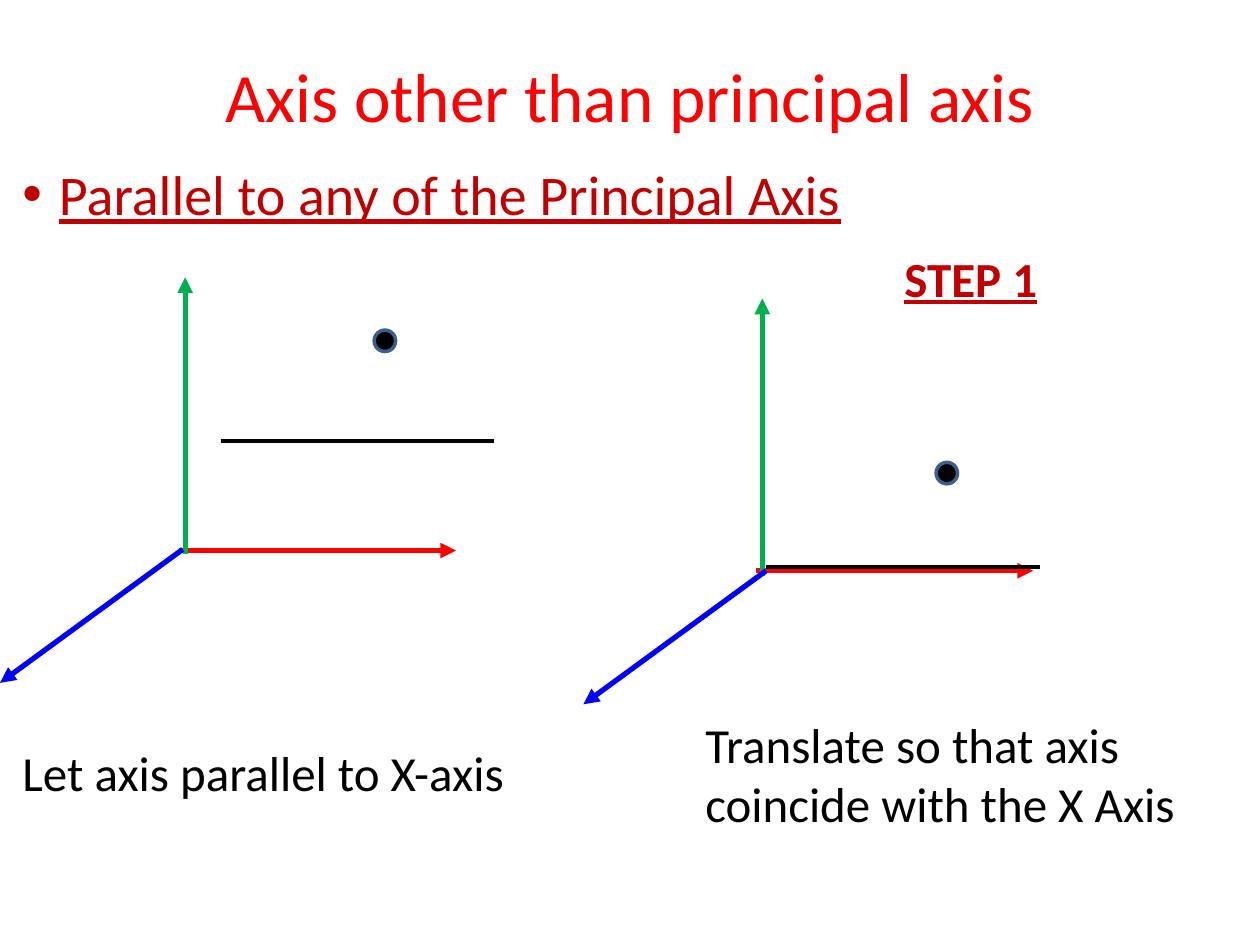
from pptx import Presentation
from pptx.dml.color import RGBColor
from pptx.enum.shapes import MSO_CONNECTOR, MSO_SHAPE
from pptx.enum.text import MSO_ANCHOR, PP_ALIGN
from pptx.oxml.ns import qn
from pptx.util import Inches, Pt
from lxml import etree

LINE, OVAL = MSO_CONNECTOR.STRAIGHT, MSO_SHAPE.OVAL
TOP, LEFT, CENTER = MSO_ANCHOR.TOP, PP_ALIGN.LEFT, PP_ALIGN.CENTER
RED = RGBColor(0xFF, 0, 0)
GREEN = RGBColor(0, 0xB0, 0x50)
BLUE = RGBColor(0, 0, 0xFF)
BLACK = RGBColor(0, 0, 0)
DARK = RGBColor(0xC0, 0, 0)
RIM = RGBColor(0x3A, 0x5F, 0x8C)

# Content: text, box, size, colour, options
TEXTS = [
    ("Axis other than principal axis", (0.5, 0.42, 9, 1.25), 39.6, RED,
     {"align": CENTER, "top": 0}),
    ("Parallel to any of the Principal Axis", (0.08, 1.22, 7, 0.94), 32, DARK,
     {"line": True, "bullet": True}),
    ("Let axis parallel to X-axis", (0.08, 5.84, 4.17, 0.57), 28, BLACK, {}),
    ("Translate so that axis coincide with the X Axis",
     (5.5, 5.62, 4, 1.04), 28, BLACK, {}),
    ("STEP 1", (7.08, 1.92, 1.92, 0.57), 28, DARK,
     {"bold": True, "line": True}),
]

# Each diagram: starts of the x, y and z axes, dot corner, start of the turn axis
PANELS = [
    {"x": (1.42, 4.37), "y": (1.47, 4.4), "z": (1.45, 4.36),
     "dot": (2.97, 2.62), "turn": (1.75, 3.5)},
    {"x": (6, 4.53), "y": (6.05, 4.57), "z": (6.08, 4.53),
     "dot": (7.43, 3.67), "turn": (6.08, 4.5)},
]
# Direction, colour, width, arrowhead; listed from back to front
RAYS = {
    "x": ((2.2, 0), RED, 3, True),
    "y": ((0, -2.2), GREEN, 3, True),
    "turn": ((2.17, 0), BLACK, 2.25, False),
    "z": ((-1.45, 1.06), BLUE, 3, True),
}
DOT = 0.17
INDENT = Inches(0.29)

deck = Presentation()
deck.slide_width, deck.slide_height = Inches(10), Inches(7.5)
slide = deck.slides.add_slide(deck.slide_layouts[6])
shapes = slide.shapes


def add_text(words, box, size, color, opts):
    frame = shapes.add_textbox(*map(Inches, box)).text_frame
    frame.word_wrap = True
    frame.vertical_anchor = TOP
    frame.margin_top = Inches(opts.get("top", 0.05))
    para = frame.paragraphs[0]
    para.alignment = opts.get("align", LEFT)
    if opts.get("bullet"):
        props = para._p.get_or_add_pPr()
        props.set("marL", str(INDENT))
        props.set("indent", str(-INDENT))
        etree.SubElement(props, qn("a:buFont")).set("typeface", "Arial")
        etree.SubElement(props, qn("a:buChar")).set("char", "•")
    run = para.add_run()
    run.text = words
    font = run.font
    font.name, font.size = "Calibri", Pt(size)
    font.color.rgb = color
    font.bold = opts.get("bold", False)
    font.underline = opts.get("line", False)


def add_ray(start, move, color, width, arrow):
    end = [a + b for a, b in zip(start, move)]
    ray = shapes.add_connector(LINE, *map(Inches, (*start, *end)))
    ray.line.color.rgb = color
    ray.line.width = Pt(width)
    if arrow:
        stroke = ray.line._get_or_add_ln()
        etree.SubElement(stroke, qn("a:tailEnd")).set("type", "triangle")
    etree.SubElement(ray._element.spPr, qn("a:effectLst"))


def add_dot(spot):
    dot = shapes.add_shape(OVAL, *map(Inches, (*spot, DOT, DOT)))
    dot.shadow.inherit = False
    dot.fill.solid()
    dot.fill.fore_color.rgb = BLACK
    dot.line.color.rgb = RIM
    dot.line.width = Pt(2)


# Diagrams
for panel in PANELS:
    for name, ray in RAYS.items():
        add_ray(panel[name], *ray)
    add_dot(panel["dot"])

# Title, bullet and captions
for item in TEXTS:
    add_text(*item)

deck.save("out.pptx")
